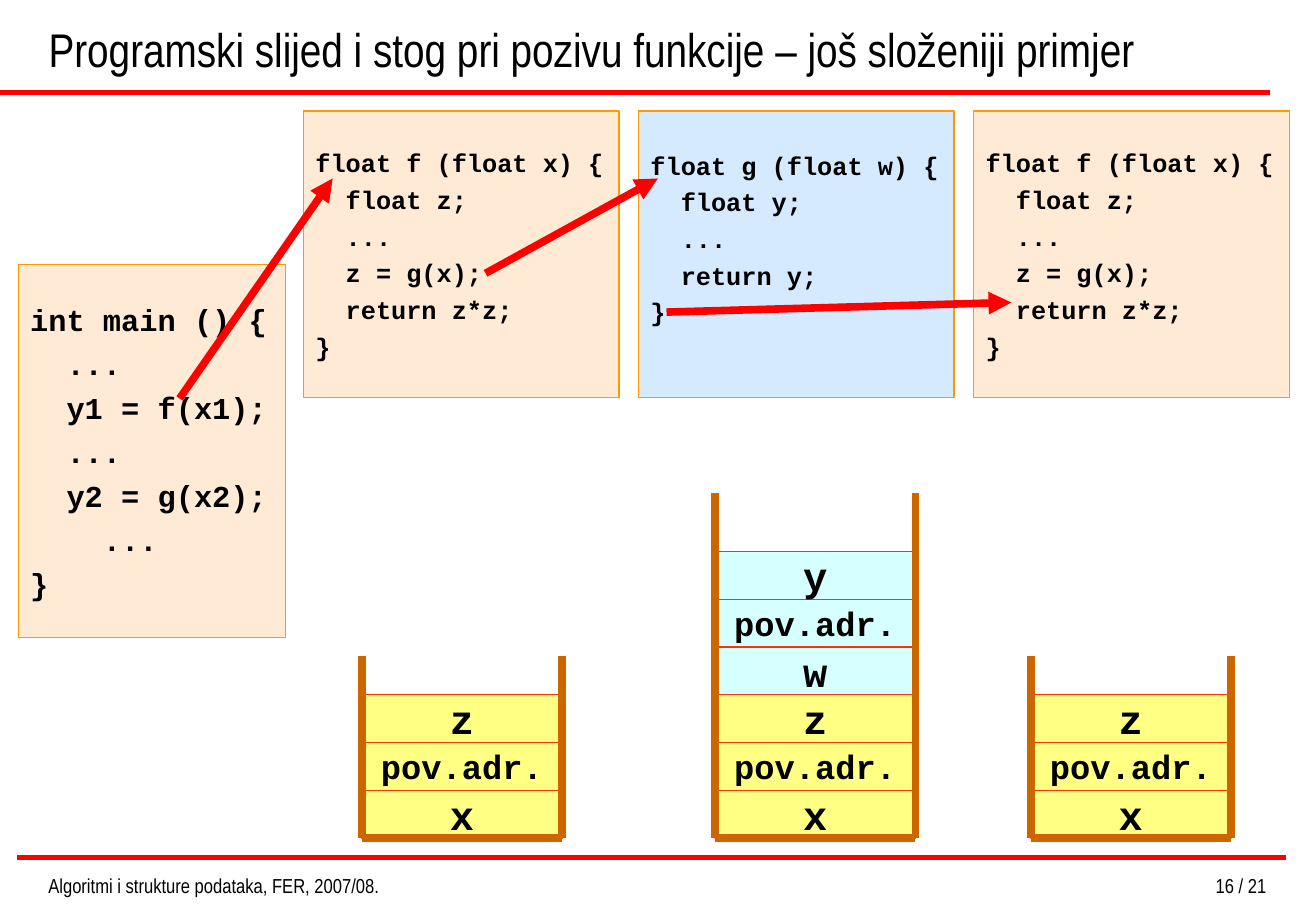
from lxml import etree
from pptx import Presentation
from pptx.dml.color import RGBColor
from pptx.enum.shapes import MSO_CONNECTOR, MSO_SHAPE
from pptx.enum.text import MSO_ANCHOR, MSO_AUTO_SIZE, PP_ALIGN
from pptx.oxml.ns import qn
from pptx.util import Pt

STRAIGHT = MSO_CONNECTOR.STRAIGHT
RECTANGLE = MSO_SHAPE.RECTANGLE
TOP, MIDDLE, BOTTOM = MSO_ANCHOR.TOP, MSO_ANCHOR.MIDDLE, MSO_ANCHOR.BOTTOM
LEFT, CENTER, RIGHT = PP_ALIGN.LEFT, PP_ALIGN.CENTER, PP_ALIGN.RIGHT
NO_AUTOFIT = MSO_AUTO_SIZE.NONE

SANS, MONO = "Arial Narrow", "Courier New"
BLACK, RED, ORANGE, BROWN = "000000", "FF0000", "FF9900", "CC6600"
PEACH, BLUE, YELLOW, CYAN = "FFCC99", "99CCFF", "FFFF66", "CCFFFF"
CELL_LINE = "FF3300"
CELL_HEIGHT = 28.32
STACK_WIDTH, STACK_BOTTOM = 118.8, 496.8

MAIN_CODE = """int main () {
  ...
  y1 = f(x1);
  ...
  y2 = g(x2);
    ...
}"""
F_CODE = """float f (float x) {
  float z;
  ...
  z = g(x);
  return z*z;
}"""
G_CODE = """float g (float w) {
  float y;
  ...
  return y;
}"""
F_FRAME = [("x", YELLOW), ("pov.adr.", YELLOW), ("z", YELLOW)]
G_FRAME = [("w", CYAN), ("pov.adr.", CYAN), ("y", CYAN)]


def color(hex_value):
    return RGBColor.from_string(hex_value)


def write(shape, text, size, font=SANS, bold=False, align=LEFT, anchor=TOP,
          gap=0, wrap=True, bottom=3.6):
    frame = shape.text_frame
    frame.auto_size = NO_AUTOFIT
    frame.word_wrap = wrap
    frame.vertical_anchor = anchor
    frame.margin_left = frame.margin_right = Pt(7.2)
    frame.margin_top, frame.margin_bottom = Pt(3.6), Pt(bottom)
    for index, line in enumerate(text.split("\n")):
        paragraph = frame.add_paragraph() if index else frame.paragraphs[0]
        paragraph.alignment = align
        paragraph.space_before = Pt(gap if index else 0)
        run = paragraph.add_run()
        run.text = line
        run.font.name = font
        run.font.size = Pt(size)
        run.font.bold = bold
        run.font.color.rgb = color(BLACK)


def draw_line(slide, start, end, hex_value, width, arrow=False):
    line = slide.shapes.add_connector(STRAIGHT, *map(Pt, start + end))
    line.line.color.rgb = color(hex_value)
    line.line.width = Pt(width)
    if arrow:
        head = etree.SubElement(line.line._get_or_add_ln(), qn("a:tailEnd"))
        head.set("type", "triangle")
    etree.SubElement(line._element.spPr, qn("a:effectLst"))


def draw_box(slide, box, fill, opacity, outline):
    rectangle = slide.shapes.add_shape(RECTANGLE, *map(Pt, box))
    rectangle.shadow.inherit = False
    rectangle.fill.solid()
    rectangle.fill.fore_color.rgb = color(fill)
    tint = rectangle._element.spPr.find(qn("a:solidFill")).find(qn("a:srgbClr"))
    etree.SubElement(tint, qn("a:alpha")).set("val", str(opacity * 1000))
    rectangle.line.color.rgb = color(outline)
    rectangle.line.width = Pt(0.75)
    return rectangle


def add_heading(slide, box):
    left, top, width, height = box
    draw_line(slide, (0, top + 54.7), (753, top + 54.7), RED, 3)
    title = slide.shapes.title
    title.left, title.top = Pt(left), Pt(top)
    title.width, title.height = Pt(width), Pt(height)
    write(title, "Programski slijed i stog pri pozivu funkcije – još složeniji primjer",
          28, anchor=BOTTOM)


def add_footer(slide, box):
    left, top, width, height = box
    draw_line(slide, (10, top - 5.8), (763, top - 5.8), RED, 3)
    course = slide.shapes.add_textbox(Pt(left), Pt(top), Pt(272), Pt(height))
    write(course, "Algoritmi i strukture podataka, FER, 2007/08.", 12)
    page = slide.shapes.add_textbox(Pt(left + width - 200), Pt(top), Pt(200), Pt(height))
    write(page, "16 / 21", 12, align=RIGHT)


def add_code(slide, box, code, fill, size, gap, bottom=3.6):
    listing = draw_box(slide, box, fill, 40, ORANGE)
    write(listing, code, size, font=MONO, bold=True, anchor=MIDDLE, gap=gap,
          wrap=False, bottom=bottom)


def add_stack(slide, left, top, cells):
    right = left + STACK_WIDTH
    for level, (label, fill) in enumerate(cells, start=1):
        cell_top = STACK_BOTTOM - level * CELL_HEIGHT
        cell = draw_box(slide, (left, cell_top, STACK_WIDTH, CELL_HEIGHT),
                        fill, 80, CELL_LINE)
        size = 24 if len(label) == 1 else 20
        write(cell, label, size, font=MONO, bold=True, align=CENTER,
              anchor=MIDDLE, wrap=False)
    for wall in (left, right):
        draw_line(slide, (wall, top), (wall, STACK_BOTTOM), BROWN, 4.5)
    draw_line(slide, (left, STACK_BOTTOM), (right, STACK_BOTTOM), BROWN, 4.5)


def add_calls(slide):
    for start, end in [((106.5, 236.2), (197.3, 105.8)),
                       ((288, 162), (390.2, 105.8)),
                       ((395.3, 185), (599.8, 179.3))]:
        draw_line(slide, start, end, RED, 4.5, arrow=True)


def main():
    presentation = Presentation()
    presentation.slide_width, presentation.slide_height = Pt(780.48), Pt(540)
    slide = presentation.slides.add_slide(presentation.slide_layouts[5])
    add_heading(slide, (21.6, 0, 731.5, 49))
    add_code(slide, (10.8, 157, 158.4, 221), MAIN_CODE, PEACH, 18, 4.5)
    functions = [(F_CODE, PEACH, 3.6), (G_CODE, BLUE, 22.6), (F_CODE, PEACH, 3.6)]
    for column, (code, fill, bottom) in enumerate(functions):
        add_code(slide, (180 + column * 198.72, 65.8, 187.2, 170), code, fill,
                 15, 3.7, bottom)
    add_stack(slide, 214.6, 388.8, F_FRAME)
    add_stack(slide, 424.1, 292.3, F_FRAME + G_FRAME)
    add_stack(slide, 611.3, 388.8, F_FRAME)
    add_calls(slide)
    add_footer(slide, (21.6, 514.1, 736.6, 17.3))
    presentation.save("out.pptx")


if __name__ == "__main__":
    main()
